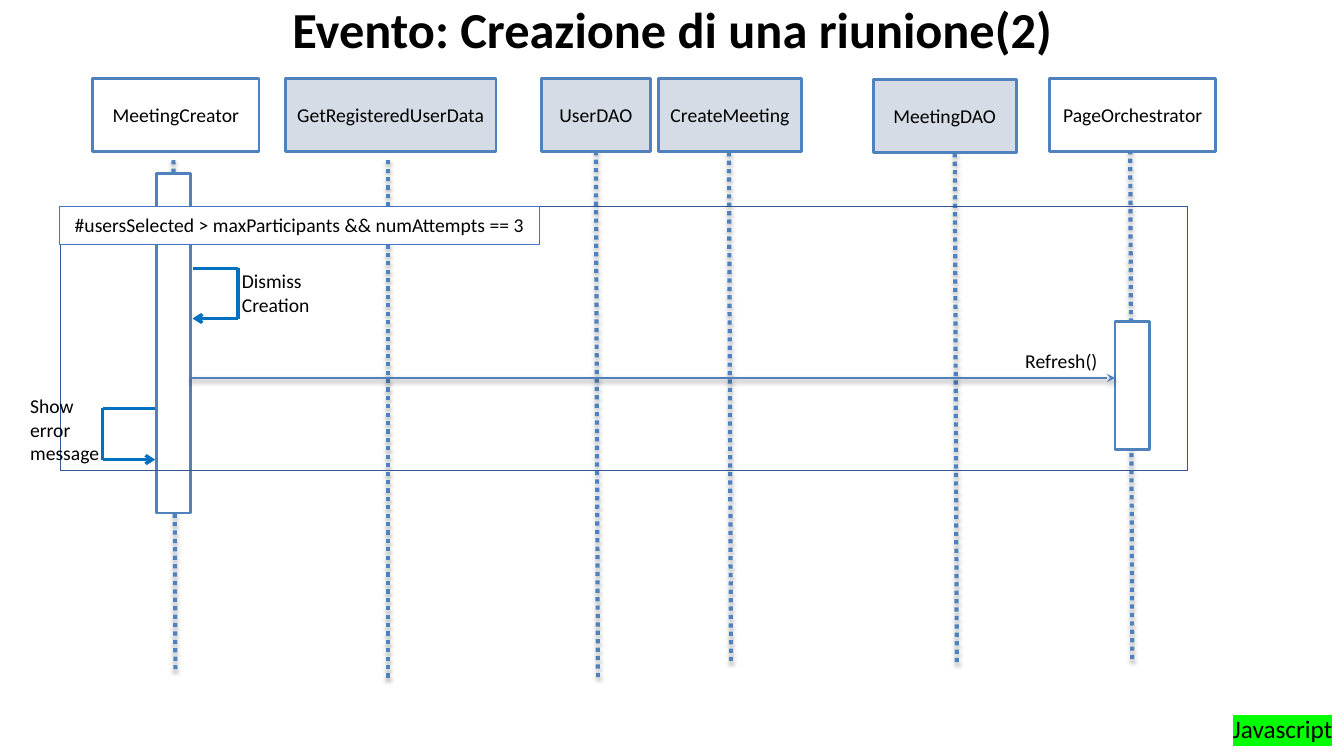
from lxml.etree import SubElement as Sub
from pptx import Presentation
from pptx.dml.color import RGBColor as RGB
from pptx.enum.dml import MSO_LINE as Dash
from pptx.enum.shapes import MSO_CONNECTOR as Link, MSO_SHAPE as Form
from pptx.enum.text import MSO_ANCHOR as Anchor, MSO_AUTO_SIZE as Fit, PP_ALIGN as Align
from pptx.oxml.ns import qn
from pptx.util import Inches, Pt

HUES = {
    "ink": "000000", "white": "FFFFFF", "gray": "D6DCE5", "edge": "4F81BD",
    "frame": "325491", "tag": "4472C4", "call": "0070C0", "mark": "00FF00",
}
CELL = 0.1  # inches per grid column and row


def hue(name):
    return RGB.from_string(HUES[name])


def grid(*cells):
    return [Inches(cell * CELL) for cell in cells]


class Board:
    font = "Calibri"
    size = 14

    def __init__(self, deck):
        self.slide = deck.slides.add_slide(deck.slide_layouts[6])
        self.shapes = self.slide.shapes

    def fill_text(self, shape, text, size=None, bold=False, mark=None, align=Align.LEFT,
                  pad=(1, 0.5), space=None, **frame):
        body = shape.text_frame
        side, top = grid(*pad)
        look = {"word_wrap": True, "margin_left": side, "margin_right": side,
                "margin_top": top, "margin_bottom": top, **frame}
        for key, value in look.items():
            setattr(body, key, value)
        para = body.paragraphs[0]
        para.alignment, para.line_spacing = align, space
        run = para.add_run()
        run.text = text
        for key, value in {"size": Pt(size or self.size), "bold": bold,
                           "name": self.font}.items():
            setattr(run.font, key, value)
        run.font.color.rgb = hue("ink")
        if mark:
            props = run._r.get_or_add_rPr()
            light = Sub(props, qn("a:highlight"))
            Sub(light, qn("a:srgbClr"), val=HUES[mark])
            props.find(qn("a:solidFill")).addnext(light)

    def box(self, at, fill="white", edge="edge", width=2, text=None, **look):
        shape = self.shapes.add_shape(Form.RECTANGLE, *grid(*at))
        shape.shadow.inherit = False
        if fill:
            shape.fill.solid()
            shape.fill.fore_color.rgb = hue(fill)
        else:
            shape.fill.background()
        shape.line.color.rgb = hue(edge)
        shape.line.width = Pt(width)
        if text:
            self.fill_text(shape, text, align=Align.CENTER, **look)

    def label(self, at, text, **look):
        self.fill_text(self.shapes.add_textbox(*grid(*at)), text, **look)

    def line(self, start, end, color="edge", width=2, dash=None, head=None, shade=None):
        """Draw a line; shade is the opacity of its shadow in percent."""
        link = self.shapes.add_connector(Link.STRAIGHT, *grid(*start, *end))
        link.line.color.rgb = hue(color)
        link.line.width = Pt(width)
        if dash:
            link.line.dash_style = dash
        props = link._element.spPr
        if head:
            Sub(props.find(qn("a:ln")), qn("a:tailEnd"), type=head)
        glow = Sub(props, qn("a:effectLst"))
        if shade:
            cast = Sub(glow, qn("a:outerShdw"), blurRad=str(int(Pt(3.1))),
                       dist=str(int(Pt(1.8))), dir="5400000", rotWithShape="0")
            tint = Sub(cast, qn("a:srgbClr"), val=HUES["ink"])
            Sub(tint, qn("a:alpha"), val=str(shade * 1000))

    def loop(self, near, far, top, low):
        """Draw a call that leaves a bar and returns to it."""
        spots = [(near, top), (far, top), (far, low), (near, low)]
        for start, end, head in zip(spots, spots[1:], (None, None, "arrow")):
            self.line(start, end, "call", 2.25, head=head)


# name, left, top, width, fill, then lifeline: start x, start y, end x, end y
ACTORS = [
    ("MeetingCreator", 9.2, 7.8, 16.5, "white", 17.2, 15.9, 17.4, 66.6),
    ("GetRegisteredUserData", 28.3, 7.8, 20.9, "gray", 38.5, 15.9, 38.5, 67.4),
    ("UserDAO", 53.7, 7.8, 10.8, "gray", 59.1, 15, 59.3, 67.2),
    ("CreateMeeting", 65.3, 7.8, 14.2, "gray", 72.3, 15.1, 72.5, 65.8),
    ("MeetingDAO", 86.6, 7.9, 14.2, "gray", 94.7, 15.2, 94.9, 65.9),
    ("PageOrchestrator", 104.1, 7.8, 16.5, "white", 112.1, 14.9, 112.3, 65.6),
]
BARS = [(15.5, 17.2, 3.4, 33.7), (110.6, 31.9, 3.4, 12.7)]
LOOPS = [(19.1, 23.6, 26.6, 31.6), (15.4, 10.2, 40.5, 45.6)]
NOTES = [
    ((23, 26.2, 9.9, 5.7), "Dismiss Creation"),
    ((100.7, 34.1, 9.9, 3.4), "Refresh()"),
    ((2, 38.6, 9.9, 8.1), "Show error message"),
]


def main():
    deck = Presentation()
    deck.slide_width, deck.slide_height = Inches(13.33), Inches(7.5)
    board = Board(deck)
    for name, left, top, width, fill, *life in ACTORS:
        board.line(life[:2], life[2:], width=3, dash=Dash.ROUND_DOT, shade=35)
        board.box((left, top, width, 7.2), fill, text=name, vertical_anchor=Anchor.MIDDLE)
    for bar in BARS:
        board.box(bar)
    board.box((6, 20.5, 111.8, 26.2), None, "frame", 1)
    board.box((5.9, 20.5, 47.6, 3.7), edge="tag", width=0.25, pad=(1.2, 0.6),
              text="#usersSelected > maxParticipants && numAttempts == 3",
              vertical_anchor=Anchor.TOP)
    for turn in LOOPS:
        board.loop(*turn)
    board.line((18.9, 37.5), (110.6, 37.5), head="stealth", shade=38)
    for at, text in NOTES:
        board.label(at, text, auto_size=Fit.SHAPE_TO_FIT_TEXT)
    board.label((9.2, -1.5, 115, 9.3), "Evento: Creazione di una riunione(2)", size=36,
                bold=True, align=Align.CENTER, space=0.9, vertical_anchor=Anchor.MIDDLE)
    board.label((121.3, 70.3, 12, 4), "Javascript", size=18, mark="mark",
                word_wrap=False, auto_size=Fit.SHAPE_TO_FIT_TEXT)
    deck.save("out.pptx")


if __name__ == "__main__":
    main()
